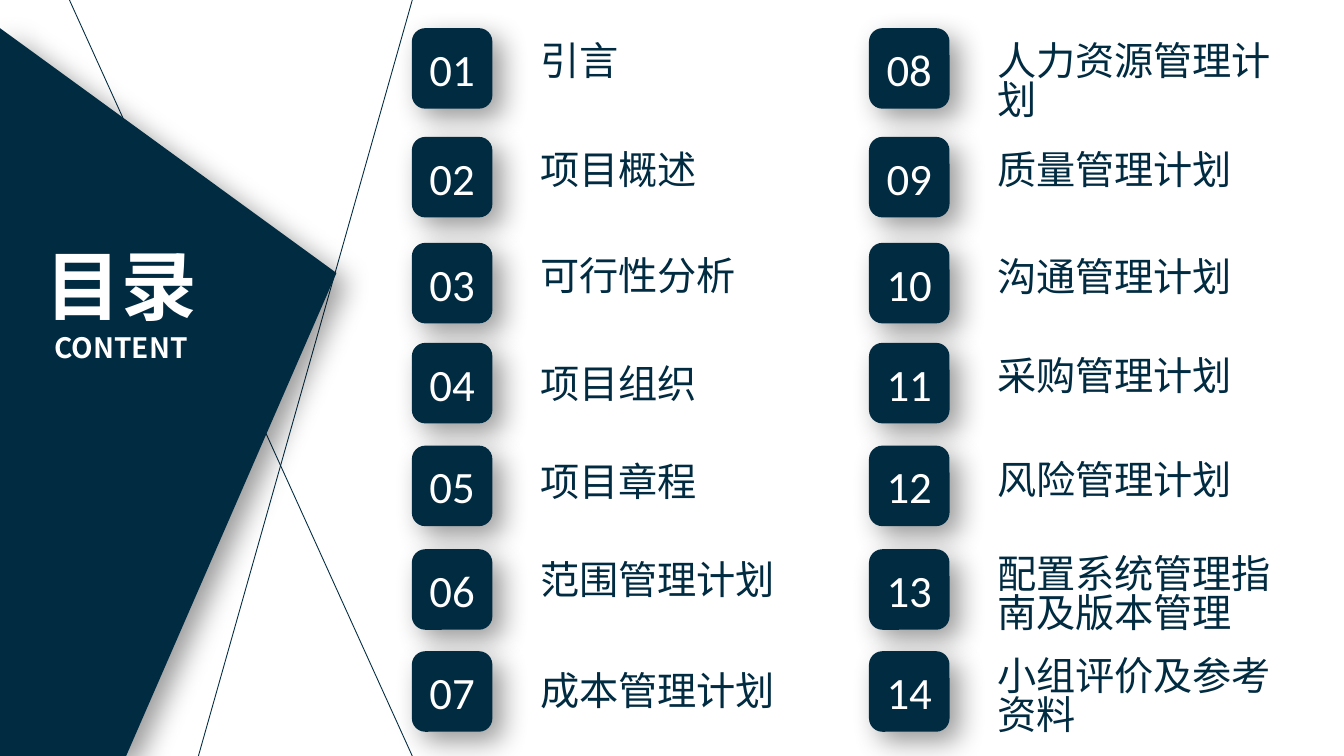
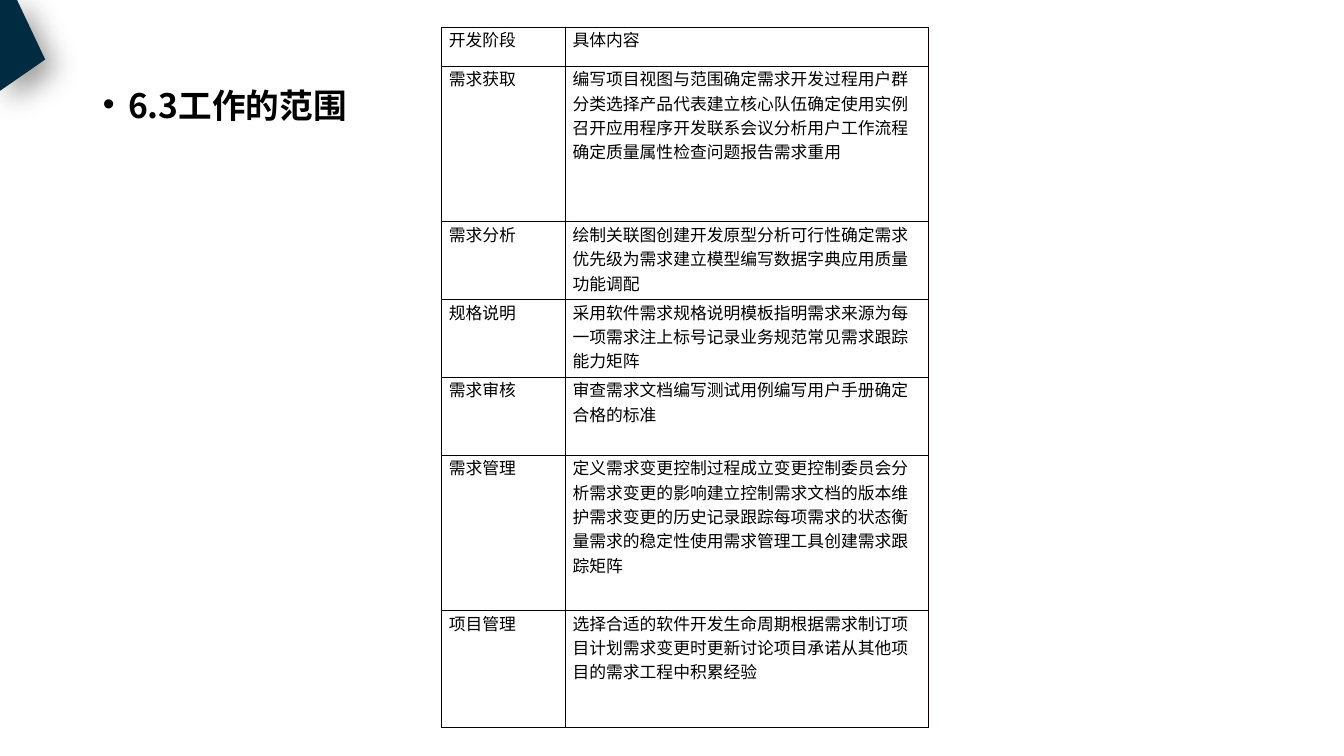
from dataclasses import dataclass
from math import ceil
from typing import Optional

from lxml.etree import SubElement
from pptx import Presentation
from pptx.dml.color import RGBColor
from pptx.enum.shapes import MSO_CONNECTOR, MSO_SHAPE
from pptx.enum.text import MSO_ANCHOR, MSO_AUTO_SIZE, PP_ALIGN
from pptx.oxml.ns import qn
from pptx.util import Cm, Pt

COLORS = {"navy": "002B41", "white": "FFFFFF", "black": "000000", "border": "080000"}
CHINESE_FONT = "Noto Sans CJK SC"
NUMBER_FONT = "Calibri"

BADGE_SIZE = 2.03
BADGE_LEFTS = (10.38, 21.9)
BADGE_TOPS = (0.71, 3.45, 6.12, 8.64, 11.23, 13.84, 16.41)
LABEL_OFFSET = 2.98
LABEL_WIDTH = 8.05
LABEL_LINE_HEIGHT = 1.18
CHARACTERS_PER_LINE = 7
ROW_UNIT = 0.98


@dataclass(frozen=True)
class Entry:
    label: str
    drop: float = 0.29


@dataclass(frozen=True)
class Line:
    begin: tuple[float, float]
    end: tuple[float, float]


@dataclass(frozen=True)
class Stage:
    name: str
    content: str
    units: int


@dataclass(frozen=True)
class TextStyle:
    size: float
    color: str
    bold: bool = False
    font: str = CHINESE_FONT


TITLE_STYLE = TextStyle(54, "white", True)
SUBTITLE_STYLE = TextStyle(20, "white", True)
NUMBER_STYLE = TextStyle(32, "white", font=NUMBER_FONT)
LABEL_STYLE = TextStyle(28, "navy")
HEADING_STYLE = TextStyle(24, "black", True)
CELL_STYLE = TextStyle(12, "black")

ENTRIES = (
    Entry("引言"),
    Entry("项目概述"),
    Entry("可行性分析"),
    Entry("项目组织", 0.49),
    Entry("项目章程", 0.37),
    Entry("范围管理计划", 0.24),
    Entry("成本管理计划", 0.47),
    Entry("人力资源管理计划"),
    Entry("质量管理计划"),
    Entry("沟通管理计划", 0.32),
    Entry("采购管理计划"),
    Entry("风险管理计划", 0.32),
    Entry("配置系统管理指南及版本管理", 0.09),
    Entry("小组评价及参考资料", 0.09),
)

LINES = (
    Line((10.39, 0), (5, 19.05)),
    Line((10.39, 19.05), (1.75, 0)),
)

CONTENTS_WEDGE = ((3.18, 19.05), (0, 19.05), (0, 0.71), (8.48, 6.88))
CORNER_WEDGE = ((0.43, 0), (0, 0), (0, 2.29), (1.14, 1.5))

STAGES = (
    Stage("开发阶段", "具体内容", 1),
    Stage("需求获取", "编写项目视图与范围确定需求开发过程用户群分类选择产品代表建立核心队伍"
          "确定使用实例召开应用程序开发联系会议分析用户工作流程确定质量属性检查问题报告需求重用", 4),
    Stage("需求分析", "绘制关联图创建开发原型分析可行性确定需求优先级为需求建立模型"
          "编写数据字典应用质量功能调配", 2),
    Stage("规格说明", "采用软件需求规格说明模板指明需求来源为每一项需求注上标号"
          "记录业务规范常见需求跟踪能力矩阵", 2),
    Stage("需求审核", "审查需求文档编写测试用例编写用户手册确定合格的标准", 2),
    Stage("需求管理", "定义需求变更控制过程成立变更控制委员会分析需求变更的影响"
          "建立控制需求文档的版本维护需求变更的历史记录跟踪每项需求的状态"
          "衡量需求的稳定性使用需求管理工具创建需求跟踪矩阵", 4),
    Stage("项目管理", "选择合适的软件开发生命周期根据需求制订项目计划需求变更时更新"
          "讨论项目承诺从其他项目的需求工程中积累经验", 3),
)


def rgb(name: str) -> RGBColor:
    return RGBColor.from_string(COLORS[name])


def add_text(paragraph, text: str, style: TextStyle, spacing: Optional[float] = None) -> None:
    run = paragraph.add_run()
    run.text = text
    run.font.size = Pt(style.size)
    run.font.bold = style.bold
    run.font.color.rgb = rgb(style.color)
    run.font.name = style.font
    SubElement(run._r.get_or_add_rPr(), qn("a:ea"), typeface=style.font)
    if spacing is not None:
        paragraph.line_spacing = spacing


def place(shape, left: float, top: float, width: float, height: float) -> None:
    shape.left, shape.top = Cm(left), Cm(top)
    shape.width, shape.height = Cm(width), Cm(height)


def style_navy_shape(shape) -> None:
    shape.fill.solid()
    shape.fill.fore_color.rgb = rgb("navy")
    shape.line.fill.background()
    shape.shadow.inherit = False
    effects = shape.element.spPr.find(qn("a:effectLst"))
    shadow = SubElement(effects, qn("a:outerShdw"), blurRad=str(Pt(20)), dist=str(Pt(10)),
                        dir="2700000", algn="tl", rotWithShape="0")
    color = SubElement(shadow, qn("a:srgbClr"), val=COLORS["black"])
    SubElement(color, qn("a:alpha"), val="40000")


def add_wedge(slide, points: tuple[tuple[float, float], ...]):
    start, *others = [(Cm(x), Cm(y)) for x, y in points]
    builder = slide.shapes.build_freeform(*start)
    builder.add_line_segments(others, close=True)
    wedge = builder.convert_to_shape()
    style_navy_shape(wedge)
    return wedge


def add_line(slide, line: Line) -> None:
    connector = slide.shapes.add_connector(
        MSO_CONNECTOR.STRAIGHT, *(Cm(value) for value in line.begin + line.end))
    connector.line.color.rgb = rgb("navy")
    connector.line.width = Pt(0.63)
    SubElement(connector.element.spPr, qn("a:effectLst"))


def add_entry(slide, index: int, entry: Entry) -> None:
    column, row = divmod(index, len(BADGE_TOPS))
    left, top = BADGE_LEFTS[column], BADGE_TOPS[row]
    badge = slide.shapes.add_shape(MSO_SHAPE.ROUNDED_RECTANGLE, Cm(left), Cm(top),
                                   Cm(BADGE_SIZE), Cm(BADGE_SIZE))
    style_navy_shape(badge)
    badge.text_frame.word_wrap = False
    badge.text_frame.vertical_anchor = MSO_ANCHOR.MIDDLE
    number = badge.text_frame.paragraphs[0]
    number.alignment = PP_ALIGN.CENTER
    add_text(number, f"{index + 1:02d}", NUMBER_STYLE)

    line_count = ceil(len(entry.label) / CHARACTERS_PER_LINE)
    label = slide.shapes.add_textbox(Cm(left + LABEL_OFFSET), Cm(top + entry.drop),
                                     Cm(LABEL_WIDTH),
                                     Cm(0.25 + LABEL_LINE_HEIGHT * line_count))
    label.text_frame.word_wrap = True
    add_text(label.text_frame.paragraphs[0], entry.label, LABEL_STYLE, 0.82)


def build_contents_slide(presentation) -> None:
    slide = presentation.slides.add_slide(presentation.slide_layouts[5])
    for line in LINES:
        add_line(slide, line)
    wedge = add_wedge(slide, CONTENTS_WEDGE)
    title = slide.shapes.title
    wedge.element.addnext(title.element)
    place(title, 0.61, 6.27, 4.88, 3.58)
    frame = title.text_frame
    frame.auto_size = MSO_AUTO_SIZE.NONE
    frame.vertical_anchor = MSO_ANCHOR.TOP
    add_text(frame.paragraphs[0], "目录", TITLE_STYLE, 0.84)
    add_text(frame.add_paragraph(), "CONTENT", SUBTITLE_STYLE, 1.0)
    for paragraph in frame.paragraphs:
        paragraph.alignment = PP_ALIGN.CENTER
    for index, entry in enumerate(ENTRIES):
        add_entry(slide, index, entry)


def format_cell(cell, text: str) -> None:
    cell.margin_left = cell.margin_right = Cm(0.18)
    cell.margin_top = cell.margin_bottom = 0
    cell.fill.background()
    properties = cell._tc.get_or_add_tcPr()
    for position, side in enumerate(("a:lnL", "a:lnR", "a:lnT", "a:lnB")):
        border = SubElement(properties, qn(side), w=str(Pt(1)))
        fill = SubElement(border, qn("a:solidFill"))
        SubElement(fill, qn("a:srgbClr"), val=COLORS["border"])
        properties.insert(position, border)
    add_text(cell.text_frame.paragraphs[0], text, CELL_STYLE)


def add_stage_table(slide) -> None:
    widths = (3.12, 9.14)
    height = ROW_UNIT * sum(stage.units for stage in STAGES)
    table = slide.shapes.add_table(len(STAGES), len(widths), Cm(11.13), Cm(0.69),
                                   Cm(sum(widths)), Cm(height)).table
    table.first_row = table.horz_banding = False
    for column, width in zip(table.columns, widths):
        column.width = Cm(width)
    for row, stage in zip(table.rows, STAGES):
        row.height = Cm(ROW_UNIT * stage.units)
        for cell, text in zip(row.cells, (stage.name, stage.content)):
            format_cell(cell, text)


def build_scope_slide(presentation) -> None:
    slide = presentation.slides.add_slide(presentation.slide_layouts[1])
    title = slide.shapes.title
    title.element.getparent().remove(title.element)
    body = slide.placeholders[1]
    place(body, 2.34, 2.29, 8.6, 16.7)
    body.text_frame.auto_size = MSO_AUTO_SIZE.NONE
    heading = body.text_frame.paragraphs[0]
    add_text(heading, "6.3工作的范围", HEADING_STYLE, 0.7)
    heading.space_before = Pt(10)
    properties = heading._p.get_or_add_pPr()
    properties.set("marL", str(Pt(18)))
    properties.set("indent", str(-Pt(18)))
    SubElement(properties, qn("a:buFont"), typeface="Arial")
    SubElement(properties, qn("a:buChar"), char="•")
    add_wedge(slide, CORNER_WEDGE)
    add_stage_table(slide)


def main() -> None:
    presentation = Presentation()
    presentation.slide_width = Cm(33.87)
    presentation.slide_height = Cm(19.05)
    build_contents_slide(presentation)
    build_scope_slide(presentation)
    presentation.save("out.pptx")


if __name__ == "__main__":
    main()
